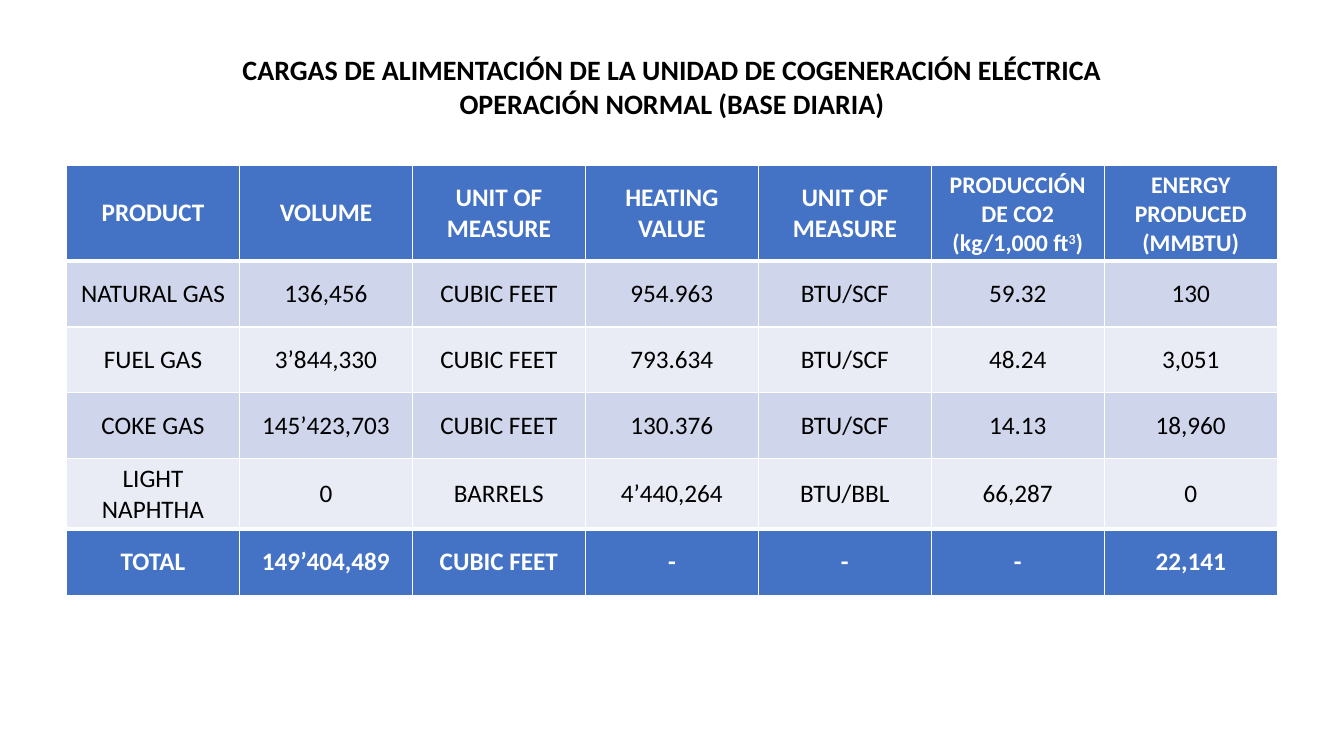
from lxml.etree import SubElement
from pptx import Presentation
from pptx.dml.color import RGBColor
from pptx.enum.text import MSO_ANCHOR, MSO_AUTO_SIZE, PP_ALIGN
from pptx.oxml import parse_xml
from pptx.oxml.ns import nsdecls, qn
from pptx.util import Inches, Pt

WHITE = RGBColor(0xFF, 0xFF, 0xFF)
BLACK = RGBColor(0x00, 0x00, 0x00)
BLUE = RGBColor(0x44, 0x72, 0xC4)
DARK_BAND = RGBColor(0xCF, 0xD5, 0xEA)
LIGHT_BAND = RGBColor(0xE9, 0xEB, 0xF5)
FONT = "Calibri"

TITLE_LINES = [
    "CARGAS DE ALIMENTACIÓN DE LA UNIDAD DE COGENERACIÓN ELÉCTRICA",
    "OPERACIÓN NORMAL (BASE DIARIA)",
]
CO2_HEADER = "PRODUCCIÓN DE CO2 (kg/1,000 ft^3^)"
ENERGY_HEADER = "ENERGY PRODUCED (MMBTU)"
ROWS = [
    ["PRODUCT", "VOLUME", "UNIT OF MEASURE", "HEATING VALUE", "UNIT OF MEASURE",
     CO2_HEADER, ENERGY_HEADER],
    ["NATURAL GAS", "136,456", "CUBIC FEET", "954.963", "BTU/SCF", "59.32", "130"],
    ["FUEL GAS", "3’844,330", "CUBIC FEET", "793.634", "BTU/SCF", "48.24", "3,051"],
    ["COKE GAS", "145’423,703", "CUBIC FEET", "130.376", "BTU/SCF", "14.13", "18,960"],
    ["LIGHT NAPHTHA", "0", "BARRELS", "4’440,264", "BTU/BBL", "66,287", "0"],
    ["TOTAL", "149’404,489", "CUBIC FEET", "-", "-", "-", "22,141"],
]


def add_run(paragraph, text, size, color, bold):
    """Append one formatted run to a centred paragraph and return it."""
    paragraph.alignment = PP_ALIGN.CENTER
    run = paragraph.add_run()
    run.text = text
    run.font.name = FONT
    run.font.size = Pt(size)
    run.font.bold = bold
    run.font.color.rgb = color
    return run


def set_borders(cell, top, bottom):
    """Draw white borders with the given top and bottom widths in points."""
    properties = cell._tc.get_or_add_tcPr()
    widths = {"lnL": 1, "lnR": 1, "lnT": top, "lnB": bottom}
    for index, (side, width) in enumerate(widths.items()):
        line = parse_xml(f'<a:{side} {nsdecls("a")} w="{Pt(width)}"/>')
        fill = SubElement(line, qn("a:solidFill"))
        SubElement(fill, qn("a:srgbClr"), val=str(WHITE))
        properties.insert(index, line)


def fill_cell(cell, text, size, color, bold, background):
    """Write a cell, raising the text between caret marks."""
    cell.fill.solid()
    cell.fill.fore_color.rgb = background
    cell.vertical_anchor = MSO_ANCHOR.MIDDLE
    paragraph = cell.text_frame.paragraphs[0]
    for index, part in enumerate(text.split("^")):
        run = add_run(paragraph, part, size, color, bold)
        if index % 2:
            run.font._element.set("baseline", "30000")


def place_title(slide, left, top, width, height):
    """Move the title placeholder into its box and write its lines."""
    title = slide.shapes.title
    title.left, title.top, title.width, title.height = left, top, width, height
    frame = title.text_frame
    frame.word_wrap = False
    frame.auto_size = MSO_AUTO_SIZE.SHAPE_TO_FIT_TEXT
    frame.vertical_anchor = MSO_ANCHOR.TOP
    for index, line in enumerate(TITLE_LINES):
        paragraph = frame.add_paragraph() if index else frame.paragraphs[0]
        add_run(paragraph, line, 20, BLACK, True)


def add_feed_table(slide, left, top, width, height):
    """Add the table of feeds with equal columns and rows."""
    last = len(ROWS) - 1
    table = slide.shapes.add_table(
        len(ROWS), len(ROWS[0]), left, top, width, height).table
    table.last_row = True
    for row_index, row in enumerate(ROWS):
        strong = row_index in (0, last)
        band = DARK_BAND if row_index % 2 else LIGHT_BAND
        for column_index, text in enumerate(row):
            cell = table.cell(row_index, column_index)
            size = 17 if text in (CO2_HEADER, ENERGY_HEADER) else 18
            fill_cell(cell, text, size, WHITE if strong else BLACK, strong,
                      BLUE if strong else band)
            set_borders(cell, 3 if row_index in (1, last) else 1,
                        3 if row_index in (0, last - 1) else 1)


def main():
    """Build the slide and save it."""
    presentation = Presentation()
    presentation.slide_width = Inches(13.33)
    presentation.slide_height = Inches(7.5)
    slide = presentation.slides.add_slide(presentation.slide_layouts[5])
    place_title(slide, Inches(2.27), Inches(0.47), Inches(8.79), Inches(0.77))
    add_feed_table(slide, Inches(0.66), Inches(1.64), Inches(12.01), Inches(3.92))
    presentation.save("out.pptx")


if __name__ == "__main__":
    main()
